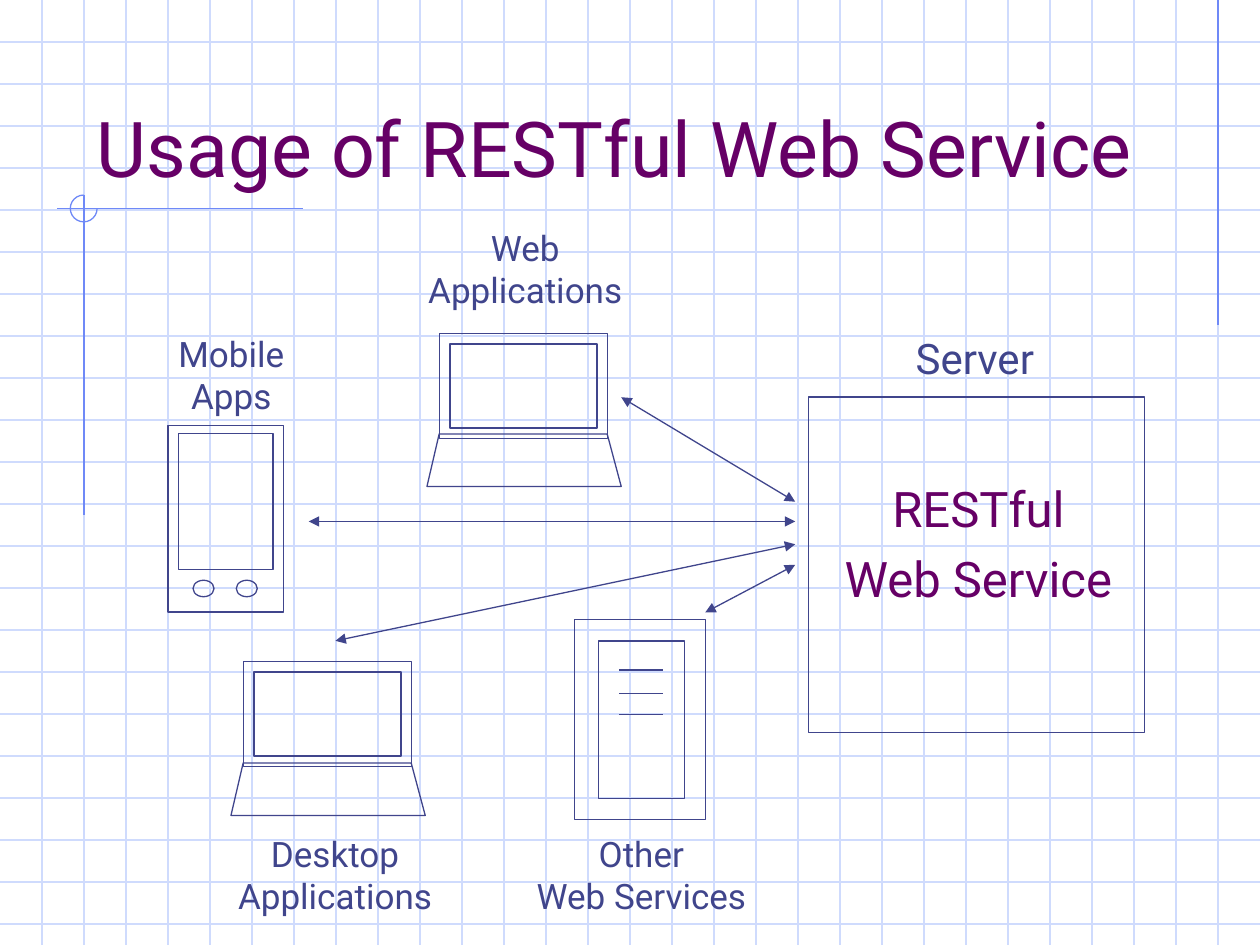
from lxml import etree
from pptx import Presentation
from pptx.dml.color import RGBColor
from pptx.enum.shapes import MSO_CONNECTOR, MSO_SHAPE
from pptx.enum.text import MSO_ANCHOR, MSO_AUTO_SIZE, PP_ALIGN
from pptx.oxml.ns import qn
from pptx.util import Pt

STRAIGHT = MSO_CONNECTOR.STRAIGHT
RECT, OVAL, ARC = MSO_SHAPE.RECTANGLE, MSO_SHAPE.OVAL, MSO_SHAPE.ARC
LEFT, CENTER = PP_ALIGN.LEFT, PP_ALIGN.CENTER
FONT = "Roboto"
COLORS = {
    name: RGBColor.from_string(value)
    for name, value in {
        "grid": "CFDBFD",
        "accent": "6F89F7",
        "ink": "40458C",
        "title": "660066",
    }.items()
}
W, H, STEP = 720, 540, 24

prs = Presentation()
prs.slide_width, prs.slide_height = Pt(W), Pt(H)
s = prs.slides.add_slide(prs.slide_layouts[5])


def add_line(x1, y1, x2, y2, color, arrows=False):
    line = s.shapes.add_connector(STRAIGHT, Pt(x1), Pt(y1), Pt(x2), Pt(y2))
    line.line.color.rgb = COLORS[color]
    line.line.width = Pt(0.75)
    if arrows:
        ln = line.line._get_or_add_ln()
        for end in ("a:headEnd", "a:tailEnd"):
            etree.SubElement(ln, qn(end), type="triangle")
    etree.SubElement(line._element.spPr, qn("a:effectLst"))


def outline(sp, color="ink"):
    sp.shadow.inherit = False
    sp.fill.background()
    sp.line.color.rgb = COLORS[color]
    sp.line.width = Pt(0.75)


# Background grid
for i in range(1, H // STEP + 1):
    add_line(0, i * STEP, W, i * STEP, "grid")
for i in range(1, W // STEP):
    add_line(i * STEP, 0, i * STEP, H, "grid")

# Accent lines and three-quarter circle
add_line(696, 0, 696, 186, "accent")
add_line(173, 119.3, 32.5, 119.3, "accent")
add_line(48, 111.5, 48, 294.5, "accent")
arc = s.shapes.add_shape(ARC, Pt(40.2), Pt(111.5), Pt(15.3), Pt(15.3))
arc.adjustments[0], arc.adjustments[1] = 0, 162
outline(arc, "accent")

# Title, in front of the grid
title = s.shapes.title
title.element.getparent().append(title.element)
title.left, title.top, title.width, title.height = Pt(48), Pt(24), Pt(612), Pt(90)
tf = title.text_frame
tf.text = "Usage of RESTful Web Service"
tf.auto_size = MSO_AUTO_SIZE.NONE
tf.vertical_anchor = MSO_ANCHOR.BOTTOM
p = tf.paragraphs[0]
p.alignment = LEFT
p.font.name, p.font.size = FONT, Pt(44)
p.font.color.rgb = COLORS["title"]

# Laptops: lid, keyboard base, screen
for x, y in [(251.2, 190.6), (139.2, 378)]:
    outline(s.shapes.add_shape(RECT, Pt(x), Pt(y), Pt(96), Pt(60)))
    base = s.shapes.build_freeform(x - 7.7, y + 87.5, scale=Pt(1))
    base.add_line_segments([(x, y + 57.5), (x + 96, y + 57.5), (x + 103.7, y + 87.5)])
    outline(base.convert_to_shape())
    outline(s.shapes.add_shape(RECT, Pt(x + 6), Pt(y + 6), Pt(84), Pt(48)))

# Server, phone and tower computer
for kind, x, y, w, h in [
    (RECT, 462, 226.8, 192, 192),
    (RECT, 96, 243.2, 66, 106.5),
    (RECT, 102, 247.6, 54, 78),
    (OVAL, 110.3, 331.6, 12, 9.4),
    (OVAL, 135, 331.6, 12, 9.4),
    (RECT, 328.2, 354.2, 74.8, 114),
    (RECT, 342, 366.3, 49, 90),
]:
    outline(s.shapes.add_shape(kind, Pt(x), Pt(y), Pt(w), Pt(h)))
for y in (382.8, 396.2, 408.2):
    add_line(354, y, 379, y, "ink")

# Labels
for lines, x, y, w, h, size, color, align, after in [
    (["Server"], 516.2, 186.5, 86.4, 36, 24, "ink", LEFT, 0),
    (["RESTful", "Web Service"], 472.3, 270, 173.5, 80.6, 28, "title", CENTER, 6),
    (["Web", "Applications"], 235.4, 126, 129.6, 55.4, 20, "ink", CENTER, 0),
    (["Mobile", "Apps"], 92.9, 186.2, 78.5, 55.4, 20, "ink", CENTER, 0),
    (["Desktop", "Applications"], 126.7, 472.3, 129.6, 55.4, 20, "ink", CENTER, 0),
    (["Other", "Web Services"], 297.4, 472.3, 138.2, 55.4, 20, "ink", CENTER, 0),
]:
    tf = s.shapes.add_textbox(Pt(x), Pt(y), Pt(w), Pt(h)).text_frame
    tf.word_wrap = False
    tf.auto_size = MSO_AUTO_SIZE.SHAPE_TO_FIT_TEXT
    tf.text = "\n".join(lines)
    for p in tf.paragraphs:
        p.alignment = align
        p.space_after = Pt(after)
        p.font.name, p.font.size = FONT, Pt(size)
        p.font.color.rgb = COLORS[color]

# Two-way arrows between clients and server
for x1, y1, x2, y2 in [
    (176.4, 298, 454.4, 298),
    (191.7, 366.2, 454.4, 311),
    (403, 350, 454.4, 322.8),
    (454.4, 286.7, 355, 227),
]:
    add_line(x1, y1, x2, y2, "ink", arrows=True)

prs.save("out.pptx")
